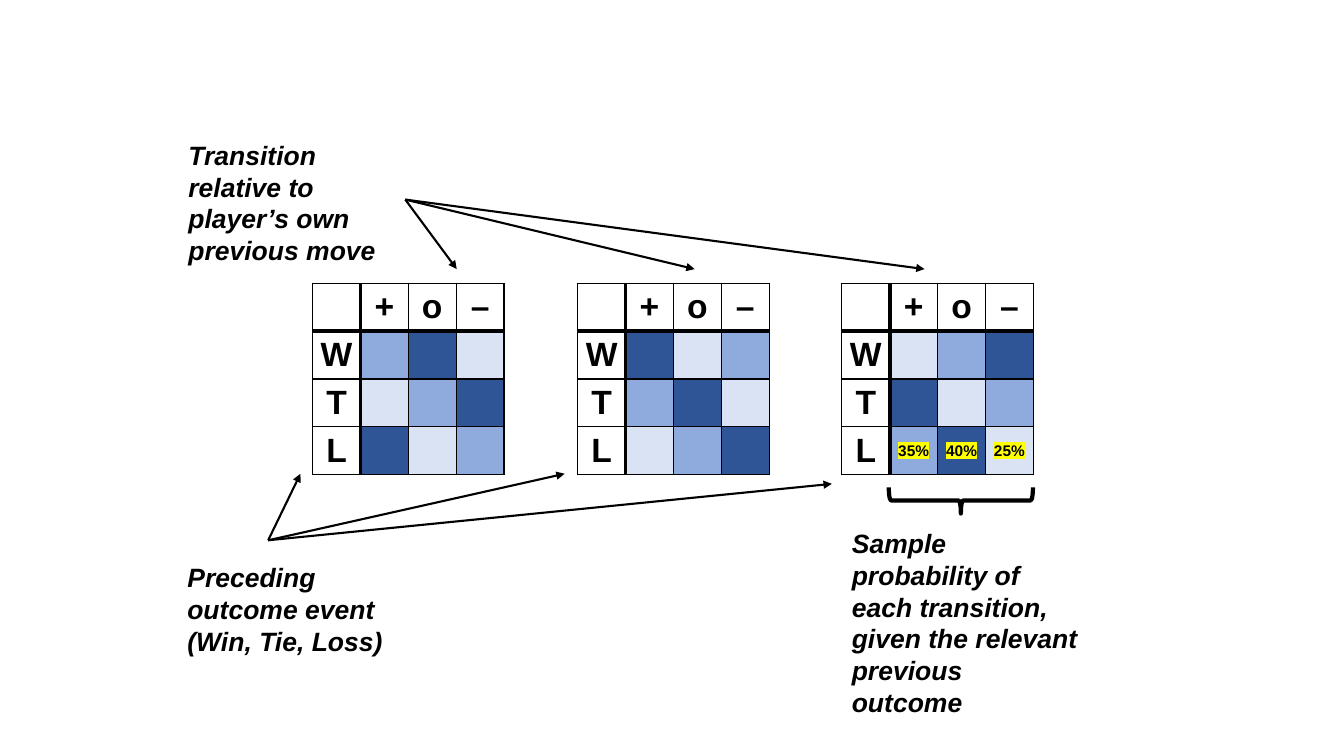
from lxml import etree
from pptx import Presentation
from pptx.dml.color import RGBColor
from pptx.enum.shapes import MSO_CONNECTOR, MSO_SHAPE
from pptx.enum.text import MSO_ANCHOR, MSO_AUTO_SIZE, PP_ALIGN
from pptx.oxml.ns import qn
from pptx.util import Inches, Pt

STRAIGHT = MSO_CONNECTOR.STRAIGHT
RIGHT_BRACE = MSO_SHAPE.RIGHT_BRACE
MIDDLE = MSO_ANCHOR.MIDDLE
FIT_SHAPE = MSO_AUTO_SIZE.SHAPE_TO_FIT_TEXT
CENTER = PP_ALIGN.CENTER

THEME = {
    "font": "Arial",
    "ink": "000000",
    "highlight": "FFFF00",
    "shades": {"L": "DAE3F3", "M": "8FAADC", "D": "2F5597"},
    "heading": 24,
    "percent": 11,
    "note": 18.9,
    "thin": 1,
    "arrow": 1.5,
    "thick": 3,
}
INK = RGBColor.from_string(THEME["ink"])


def write(para, text, size, italic=False):
    span = para.add_run()
    span.text = text
    font_format = {"name": THEME["font"], "size": Pt(size), "bold": True, "italic": italic}
    for name, value in font_format.items():
        setattr(span.font, name, value)
    span.font.color.rgb = INK
    return span


def add_borders(cell, row, column):
    properties = cell._tc.get_or_add_tcPr()
    heavy = {"lnL": column == 1, "lnR": column == 0, "lnT": row == 1, "lnB": row == 0}
    for position, (side, is_heavy) in enumerate(heavy.items()):
        width = THEME["thick"] if is_heavy else THEME["thin"]
        border = etree.Element(qn(f"a:{side}"), w=str(Pt(width)))
        fill = etree.SubElement(border, qn("a:solidFill"))
        etree.SubElement(fill, qn("a:srgbClr"), val=THEME["ink"])
        properties.insert(position, border)


deck = Presentation()
deck.slide_width = Inches(13.33)
deck.slide_height = Inches(7.5)
slide = deck.slides.add_slide(deck.slide_layouts[6])

TRANSITIONS = "+o–"
OUTCOMES = "WTL"
SIDE = Inches(1.9)
CELL_FORMAT = {
    "vertical_anchor": MIDDLE,
    "margin_left": Inches(0.05),
    "margin_right": Inches(0.05),
    "margin_top": Inches(0.04),
    "margin_bottom": Inches(0.04),
}
matrices = [
    (3.1, ["MDL", "LMD", "DLM"], []),
    (5.73, ["DLM", "MDL", "LMD"], []),
    (8.35, ["LMD", "DLM", "MDL"], ["35%", "40%", "25%"]),
]
for left, shade_rows, loss_chances in matrices:
    frame = slide.shapes.add_table(4, 4, Inches(left), Inches(2.81), SIDE, SIDE)
    matrix = frame.table
    matrix.first_row = False
    matrix.horz_banding = False
    for row in range(4):
        for column in range(4):
            cell = matrix.cell(row, column)
            for name, value in CELL_FORMAT.items():
                setattr(cell, name, value)
            if row and column:
                shade = THEME["shades"][shade_rows[row - 1][column - 1]]
                cell.fill.solid()
                cell.fill.fore_color.rgb = RGBColor.from_string(shade)
            else:
                cell.fill.background()
            add_borders(cell, row, column)
            para = cell.text_frame.paragraphs[0]
            para.alignment = CENTER
            if row == 0 and column:
                write(para, TRANSITIONS[column - 1], THEME["heading"])
            elif row and column == 0:
                write(para, OUTCOMES[row - 1], THEME["heading"])
            elif row == 3 and loss_chances:
                span = write(para, loss_chances[column - 1], THEME["percent"])
                highlight = etree.Element(qn("a:highlight"))
                etree.SubElement(highlight, qn("a:srgbClr"), val=THEME["highlight"])
                span.font._element.find(qn("a:solidFill")).addnext(highlight)

notes = [
    (1.77, 1.33, 2.26, 1.06, "Transition relative to player’s own previous move"),
    (1.76, 5.52, 2.26, 1.06, "Preceding outcome event (Win, Tie, Loss)"),
    (8.35, 5.18, 2.45, 1.38,
     "Sample probability of each transition, given the relevant previous outcome"),
]
for left, top, width, height, text in notes:
    box = slide.shapes.add_textbox(Inches(left), Inches(top), Inches(width), Inches(height))
    box.text_frame.word_wrap = True
    box.text_frame.auto_size = FIT_SHAPE
    write(box.text_frame.paragraphs[0], text, THEME["note"], italic=True)

arrow_fans = [
    ((4.02, 1.98), [(4.53, 2.67), (6.89, 2.67), (9.17, 2.67)]),
    ((2.66, 5.36), [(2.98, 4.7), (5.6, 4.7), (8.25, 4.8)]),
]
for start, tips in arrow_fans:
    for tip in tips:
        arrow = slide.shapes.add_connector(STRAIGHT, *map(Inches, start + tip))
        arrow.line.color.rgb = INK
        arrow.line.width = Pt(THEME["arrow"])
        etree.SubElement(arrow.line._get_or_add_ln(), qn("a:tailEnd"), type="triangle")
        etree.SubElement(arrow._element.spPr, qn("a:effectLst"))

brace = slide.shapes.add_shape(
    RIGHT_BRACE, Inches(9.4), Inches(4.25), Inches(0.26), Inches(1.43)
)
brace.rotation = 90
brace.shadow.inherit = False
brace.fill.background()
brace.line.color.rgb = INK
brace.line.width = Pt(THEME["thick"])

deck.save("out.pptx")
